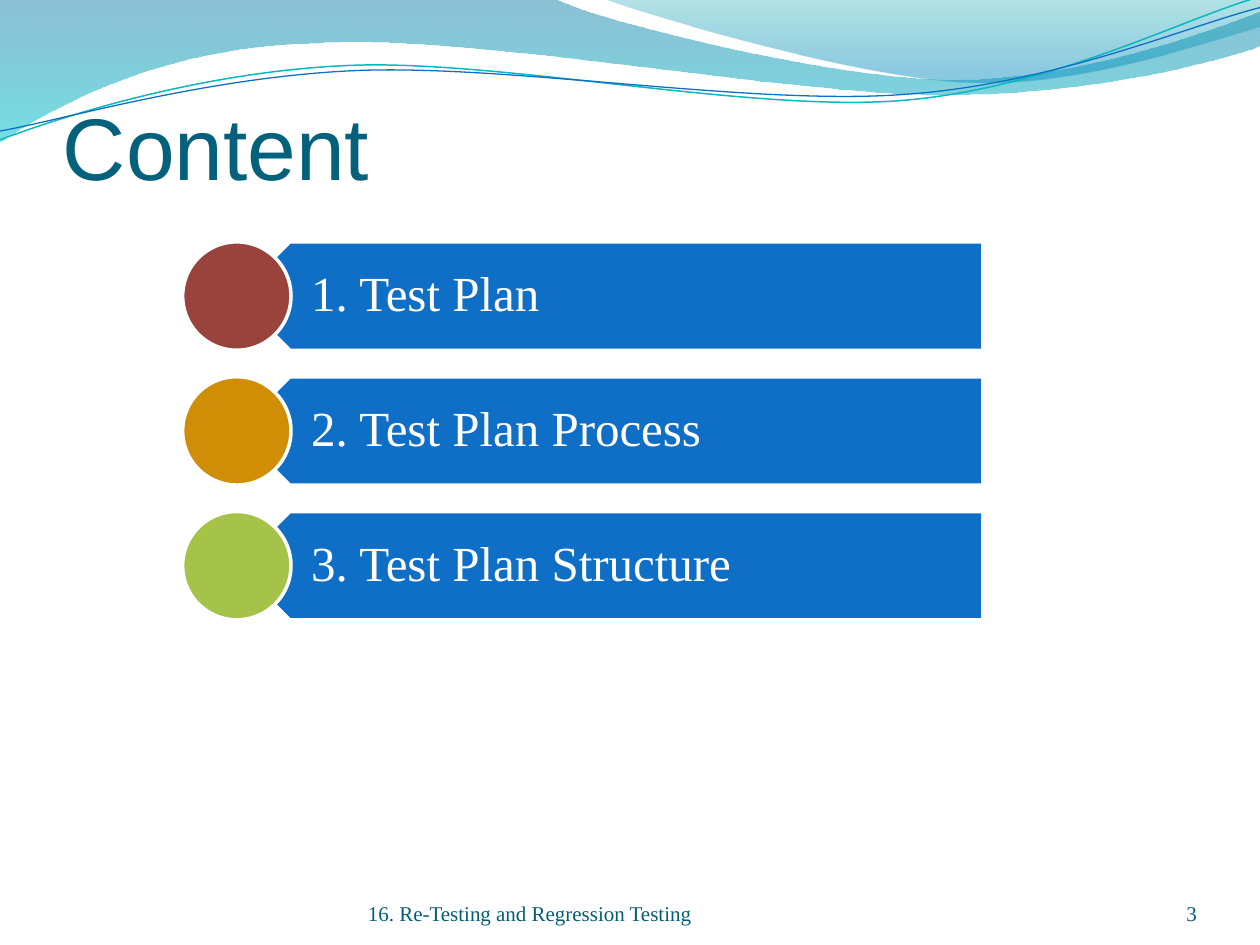
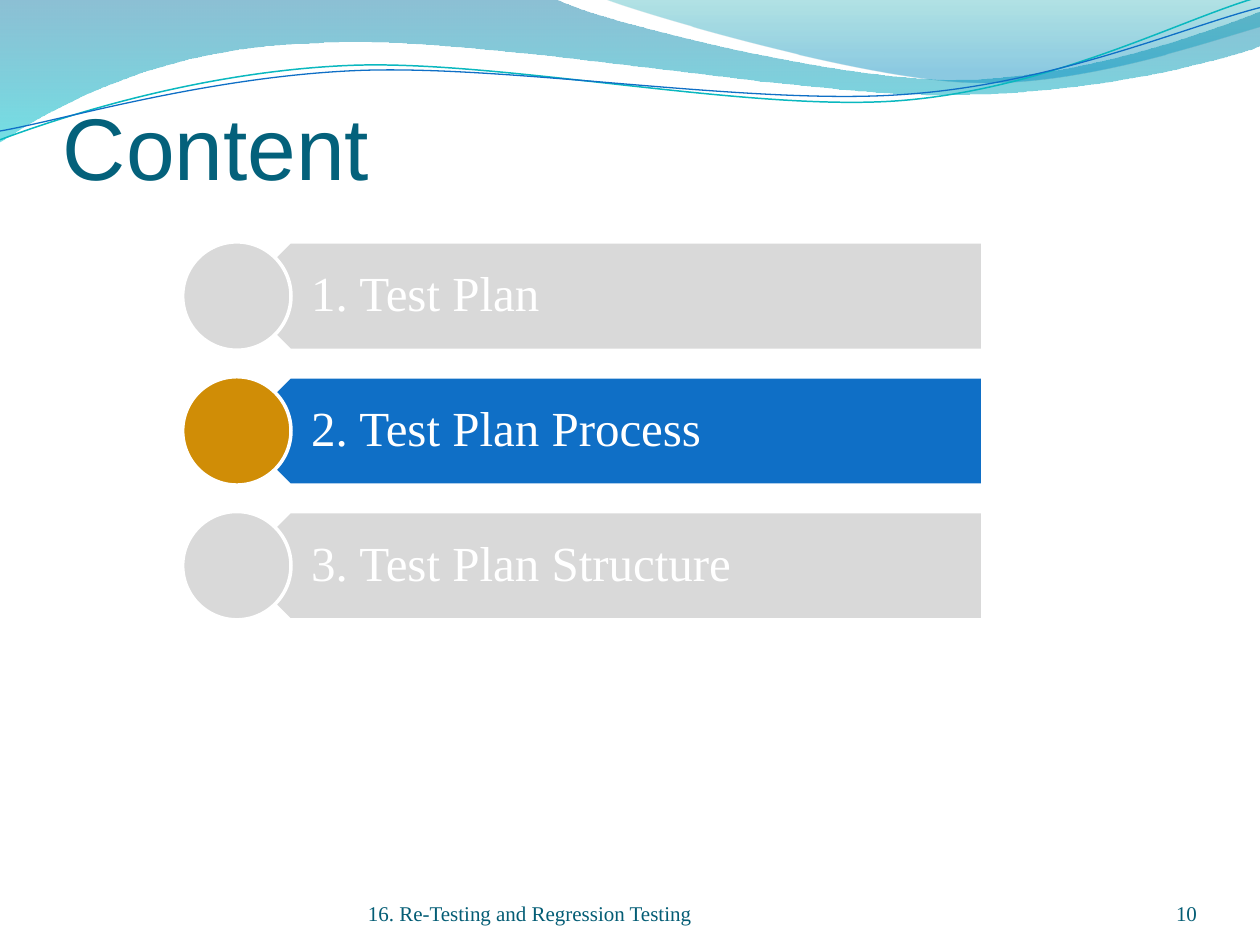
"""Builds two agenda slides with a shared wave header, title and footer."""
import math

from lxml import etree
from pptx import Presentation, util as u
from pptx.dml.color import RGBColor
from pptx.enum import shapes, text
from pptx.oxml.ns import qn

COLS, ROWS = 10, 7.5
BLUE, GREY, WHITE = "0F6FC6", "D9D9D9", "FFFFFF"
TITLE, FOOTER = "04617B", "045D75"
HEAD, BODY = "Arial", "Times New Roman"
TOPICS = [("1. Test Plan", "9A433C"),
          ("2. Test Plan Process", "D08D06"),
          ("3. Test Plan Structure", "A5C249")]
TOP, PITCH, BAR = 1.92, 1.07, 0.86
TILT = 357.3

BACK_BOX, FRONT_BOX = (-0.01, -0.01, 10.02, 1.14), (4.79, -0.01, 5.21, 0.7)
TEAL_BOX, BLUE_BOX = (-0.02, 0.22, 10.02, 0.71), (-0.02, 0.3, 10.03, 0.58)
BACK_WAVE = [[(0, 0)], [(4.4, -0.01)],
             [(4.76, 0.17), (6.64, 0.63), (7.58, 0.63)],
             [(8.53, 0.63), (9.58, 0.26), (10, 0.09)],
             [(10.01, 0.36)],
             [(9.83, 0.44), (8.7, 0.76), (7.46, 0.75)],
             [(6.22, 0.75), (3.82, 0.28), (2.57, 0.34)],
             [(1.29, 0.36), (0.46, 0.83), (-0.01, 1.13)],
             [(0, 0)]]
FRONT_WAVE = [[(4.79, -0.01)],
              [(5.09, 0.11), (6.82, 0.62), (7.69, 0.65)],
              [(8.56, 0.69), (9.61, 0.32), (10, 0.21)],
              [(10, 0)], [(4.79, -0.01)]]
TEAL_LINE = [[(0, 1.11)],
             [(0.48, 0.93), (1.58, 0.57), (2.77, 0.52)],
             [(3.95, 0.47), (5.93, 0.89), (7.13, 0.8)],
             [(8.33, 0.71), (9.38, 0.15), (9.98, -0.02)]]
BLUE_LINE = [[(0, 1.04)],
             [(0.47, 0.96), (1.64, 0.61), (2.83, 0.56)],
             [(4.03, 0.51), (5.97, 0.84), (7.17, 0.75)],
             [(8.36, 0.67), (9.41, 0.21), (10, 0.06)]]


def rgb(value):
    """Turn a hex string into a colour."""
    return RGBColor.from_string(value)


def localize(point, box, turn):
    """Express a slide point inside a box that is turned about its centre."""
    x, y, w, h = box
    dx, dy = point[0] - x - w / 2, point[1] - y - h / 2
    c, s = math.cos(math.radians(-turn)), math.sin(math.radians(-turn))
    return dx * c - dy * s + w / 2, dx * s + dy * c + h / 2


def write(tf, content, size=12, font=BODY, color=FOOTER, align="LEFT",
          anchor="BOTTOM", insets=(0, 0, 0, 0), spacing=None):
    """Put one formatted paragraph into a text frame."""
    tf.word_wrap = True
    tf.vertical_anchor = getattr(text.MSO_ANCHOR, anchor)
    (tf.margin_left, tf.margin_top,
     tf.margin_right, tf.margin_bottom) = map(u.Inches, insets)
    p = tf.paragraphs[0]
    p.alignment = getattr(text.PP_ALIGN, align)
    if spacing:
        p.line_spacing = spacing
    r = p.add_run()
    r.text = content
    r.font.size = u.Pt(size)
    r.font.name = font
    r.font.color.rgb = rgb(color)


class Deck:
    """Holds the grid and the current slide."""

    def __init__(self):
        """Open an empty presentation."""
        self.prs = Presentation()
        self.prs.slide_width = u.Inches(10)
        self.prs.slide_height = u.Inches(7.5)

    def grid(self, x, y):
        """Turn columns and rows into slide lengths."""
        return (round(x * self.prs.slide_width / COLS),
                round(y * self.prs.slide_height / ROWS))

    def box(self, x, y, w, h):
        """Return left, top, width and height on the grid."""
        return *self.grid(x, y), *self.grid(w, h)

    def text(self, content, x, y, w, h, **style):
        """Add a text box."""
        sp = self.s.shapes.add_textbox(*self.box(x, y, w, h))
        write(sp.text_frame, content, **style)

    def shape(self, kind, x, y, w, h, fill, turn=0):
        """Add a filled preset shape with a white outline."""
        sp = self.s.shapes.add_shape(kind, *self.box(x, y, w, h))
        sp.shadow.inherit = False
        sp.rotation = turn
        sp.fill.solid()
        sp.fill.fore_color.rgb = rgb(fill)
        sp.line.color.rgb = rgb(WHITE)
        sp.line.width = u.Pt(2)

    def outline(self, box, curve, close=False, turn=0):
        """Add a freeform of straight parts and cubic curves."""
        ends = [self.grid(*part[-1]) for part in curve]
        builder = self.s.shapes.build_freeform(*ends[0], scale=1.0)
        builder.add_line_segments(ends[1:], close=close)
        sp = builder.convert_to_shape()
        sp.shadow.inherit = False
        sp.left, sp.top, sp.width, sp.height = self.box(*box)
        sp.rotation = turn
        track = next(sp._element.spPr.iter(qn("a:path")))
        track.clear()
        track.set("w", str(sp.width))
        track.set("h", str(sp.height))
        for i, part in enumerate(curve):
            tag = "a:cubicBezTo" if len(part) == 3 else "a:lnTo" if i else "a:moveTo"
            step = etree.SubElement(track, qn(tag))
            for point in part:
                x, y = self.grid(*localize(point, box, turn))
                etree.SubElement(step, qn("a:pt"), x=str(x), y=str(y))
        if close:
            etree.SubElement(track, qn("a:close"))
        return sp

    def wave(self, box, curve, stops):
        """Add a wave with a see-through vertical gradient."""
        sp = self.outline(box, curve, close=True)
        sp.line.fill.background()
        sp.fill.gradient()
        sp.fill.gradient_angle = 270
        for stop, (position, color, _) in zip(sp.fill.gradient_stops, stops):
            stop.position = position
            stop.color.rgb = rgb(color)
        for clr, (_, _, opacity) in zip(sp._element.spPr.iter(qn("a:srgbClr")), stops):
            etree.SubElement(clr, qn("a:alpha"), val=str(opacity * 1000))

    def strand(self, box, curve, color, width):
        """Add a thin tilted line."""
        sp = self.outline(box, curve, turn=TILT)
        sp.fill.background()
        sp.line.color.rgb = rgb(color)
        sp.line.width = u.Pt(width)

    def slide(self, title, footer, number):
        """Start a slide with the waves, title and footer."""
        self.s = self.prs.slides.add_slide(self.prs.slide_layouts[6])
        self.wave(BACK_BOX, BACK_WAVE, [(0, "0074A1", 45), (1, "00C6CF", 55)])
        self.wave(FRONT_BOX, FRONT_WAVE, [(0, "00A1A9", 30), (0.8, "008BBF", 45)])
        self.strand(TEAL_BOX, TEAL_LINE, "0AB8BF", 0.85)
        self.strand(BLUE_BOX, BLUE_LINE, BLUE, 0.75)
        self.text(title, 0.5, 0.67, 9, 0.9, size=50, font=HEAD, color=TITLE,
                  insets=(0, 0.05, 0, 0))
        self.text(footer, 2.92, 6.95, 3.67, 0.4)
        self.text(str(number), 8.67, 6.95, 0.83, 0.4, align="RIGHT")

    def topic(self, row, label, accent, active):
        """Add one agenda bar with its disc, greyed when inactive."""
        y = TOP + row * PITCH
        kinds = shapes.MSO_SHAPE
        self.shape(kinds.PENTAGON, 1.87, y, 5.93, BAR,
                   BLUE if active else GREY, turn=180)
        self.text(label, 2.09, y, 5.72, BAR, size=28, color=WHITE,
                  anchor="MIDDLE", insets=(0.38, 0.12, 0.22, 0.12), spacing=0.9)
        self.shape(kinds.OVAL, 1.45, y, BAR, BAR, accent if active else GREY)


def main():
    """Build and save both agenda slides."""
    deck = Deck()
    for number, active in [(3, {0, 1, 2}), (10, {1})]:
        deck.slide("Content", "16. Re-Testing and Regression Testing", number)
        for row, (label, accent) in enumerate(TOPICS):
            deck.topic(row, label, accent, row in active)
    deck.prs.save("out.pptx")


if __name__ == "__main__":
    main()
